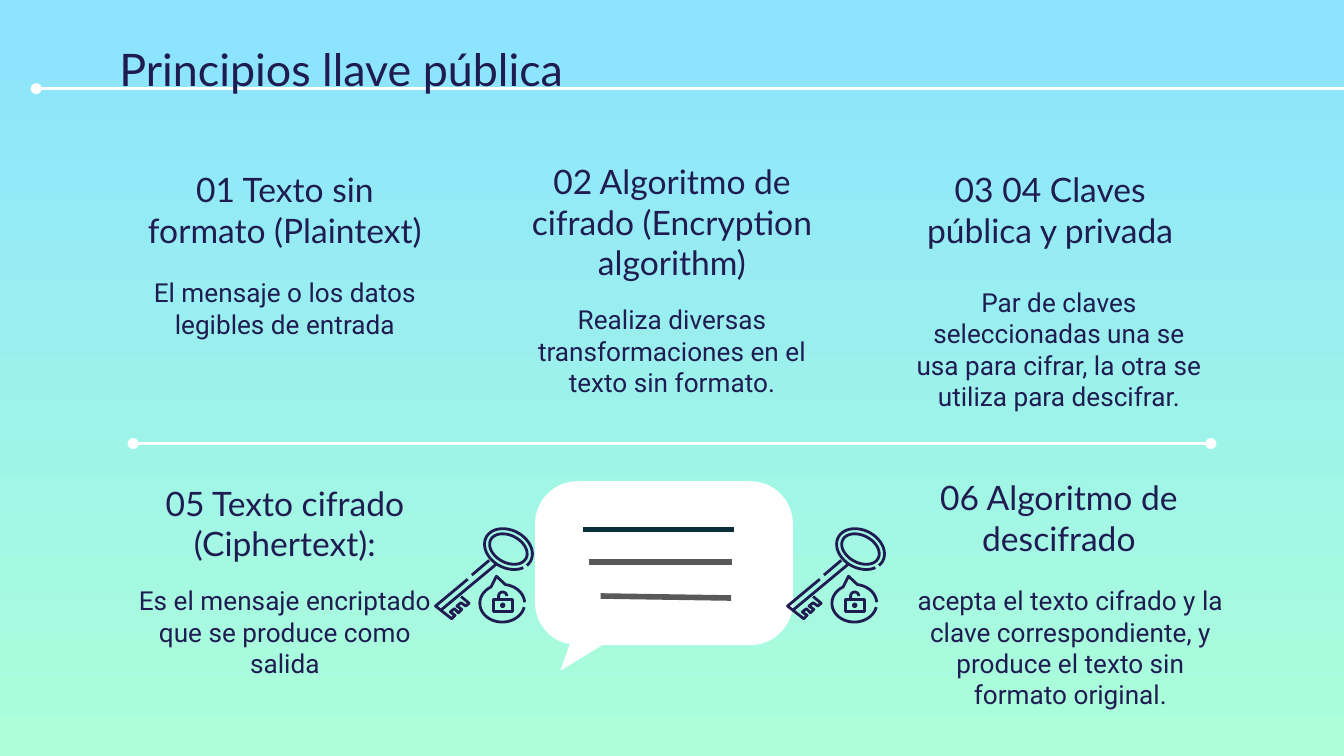
from math import cos, radians, sin

from lxml import etree
from pptx import Presentation
from pptx.dml.color import RGBColor
from pptx.enum import shapes, text
from pptx.oxml import ns
from pptx.util import Pt

SKY = RGBColor(0x8B, 0xE3, 0xFF)
MINT = RGBColor(0xAC, 0xFF, 0xD9)
NAVY = RGBColor(0x1F, 0x1C, 0x51)
WHITE = RGBColor(0xFF, 0xFF, 0xFF)
TEAL = RGBColor(0x0C, 0x2E, 0x3A)
GRAY = RGBColor(0x59, 0x59, 0x59)

TITLE = "Principios llave pública"
HEADING_H, BODY_H, COLUMN_W = 42.5, 62.6, 174.2
# heading, heading position, body, body position, body width
PRINCIPLES = [
    ("01 Texto sin formato (Plaintext)", (65.5, 98.6),
     "El mensaje o los datos legibles de entrada", (65.5, 141.1), COLUMN_W),
    ("02 Algoritmo de cifrado (Encryption algorithm)", (272.9, 115.9),
     "Realiza diversas transformaciones en el texto sin formato.", (272.9, 155.5), COLUMN_W),
    ("03 04 Claves pública y privada", (475.5, 98.6),
     "Par de claves seleccionadas una se usa para cifrar, la otra se utiliza para descifrar.",
     (480.2, 146.2), COLUMN_W),
    ("05 Texto cifrado (Ciphertext):", (65.5, 266.4),
     "Es el mensaje encriptado que se produce como salida", (65.5, 306), COLUMN_W),
    ("06 Algoritmo de descifrado", (480.2, 263.5),
     "acepta el texto cifrado y la clave correspondiente, y produce el texto sin formato original.",
     (480.2, 306), 186.5),
]
RULES = [
    ((19.4, 47.5), (720, 47.5), ("headEnd",)),
    ((71.3, 237.6), (648.7, 237.6), ("headEnd", "tailEnd")),
]
MESSAGE_LINES = [
    ((312.5, 283.7), (393.5, 283.7), TEAL),
    ((315.4, 301), (392.4, 301), GRAY),
    ((321.8, 319.3), (391.7, 320.4), GRAY),
]
BUBBLE = (286.6, 257.8, 424.8, 345.6)
BUBBLE_RADIUS = 22.8
BUBBLE_TAIL = [(322.6, 345.6), (300.2, 359.3), (305.3, 344.9)]
KEYS = [(232.6, 282.2), (421.2, 282.2)]


def arc(center, rx, ry, start, end, tilt=0):
    steps = max(6, int(abs(end - start) / 8))
    c, n = cos(radians(tilt)), sin(radians(tilt))
    points = []
    for i in range(steps + 1):
        a = radians(start + (end - start) * i / steps)
        x, y = rx * cos(a), ry * sin(a)
        points.append((center[0] + x * c - y * n, center[1] + x * n + y * c))
    return points


RING, BADGE = (39.8, 12), (36.5, 41)
KEY_STROKES = [
    (arc(RING, 13.5, 10.1, 30, 378, 28), False),
    (arc(RING, 10.7, 7.3, 0, 352, 28), True),
    ([(29.5, 18), (20.2, 25.9)], False),
    ([(33.1, 20.2), (3.6, 44.7)], False),
    ([(18, 28.1), (0.7, 42.5), (9.4, 49.3), (11.2, 47.5), (8.6, 45.7), (10.8, 43.9),
      (13, 46.1), (14.8, 44.3), (12.2, 42.5), (14.4, 40.7), (16.9, 42.5), (18.7, 41),
      (14.4, 37.4)], False),
    (arc(BADGE, 12, 10.1, 12, 240) + [(33.4, 26.5)] + arc(BADGE, 12, 10.1, 278, 357), False),
    ([(31.7, 38.9), (41.8, 38.9), (41.8, 45.4), (31.7, 45.4)], True),
    ([(34.5, 38.9)] + arc((36.7, 37.2), 2.2, 2.2, 180, 360), False),
]
KEYHOLE = arc((36.7, 42.1), 1.4, 1.4, 0, 345)


def add_text(s, content, at, size, font, points, align, anchor):
    box = s.shapes.add_textbox(*(Pt(v) for v in at + size))
    tf = box.text_frame
    tf.word_wrap = True
    tf.vertical_anchor = anchor
    tf.margin_left = tf.margin_right = tf.margin_top = tf.margin_bottom = Pt(7.2)
    p = tf.paragraphs[0]
    p.text = content
    p.alignment = align
    p.font.name, p.font.size = font, Pt(points)
    p.font.color.rgb = NAVY


def add_line(s, start, end, color, width, ovals=()):
    line = s.shapes.add_connector(
        shapes.MSO_CONNECTOR.STRAIGHT, *(Pt(v) for v in start + end))
    line.line.color.rgb = color
    line.line.width = Pt(width)
    for end_name in ovals:
        etree.SubElement(line.line._get_or_add_ln(), ns.qn("a:" + end_name), type="oval")
    etree.SubElement(line._element.spPr, ns.qn("a:effectLst"))


def add_outline(parent, points, closed, fill=None, stroke=None, origin=(0, 0)):
    emu = [(Pt(origin[0] + x), Pt(origin[1] + y)) for x, y in points]
    builder = parent.shapes.build_freeform(*emu[0])
    builder.add_line_segments(emu[1:], close=closed)
    sp = builder.convert_to_shape()
    sp.shadow.inherit = False
    if fill is None:
        sp.fill.background()
    else:
        sp.fill.solid()
        sp.fill.fore_color.rgb = fill
    if stroke is None:
        sp.line.fill.background()
    else:
        sp.line.color.rgb = stroke
        sp.line.width = Pt(1.5)


def add_bubble(s):
    left, top, right, bottom = BUBBLE
    r = BUBBLE_RADIUS
    corners = [(left + r, top + r), (right - r, top + r),
               (right - r, bottom - r), (left + r, bottom - r)]
    arcs = [arc(c, r, r, 180 + 90 * i, 270 + 90 * i) for i, c in enumerate(corners)]
    lower_left = [pt for pt in arcs[3] if pt[0] < BUBBLE_TAIL[-1][0]]
    add_outline(s, arcs[0] + arcs[1] + arcs[2] + BUBBLE_TAIL + lower_left, True, fill=WHITE)


def add_key(s, origin):
    key = s.shapes.add_group_shape()
    for points, closed in KEY_STROKES:
        add_outline(key, points, closed, stroke=NAVY, origin=origin)
    add_outline(key, KEYHOLE, True, fill=NAVY, origin=origin)


def main():
    prs = Presentation()
    prs.slide_width, prs.slide_height = Pt(720), Pt(405)
    s = prs.slides.add_slide(prs.slide_layouts[6])
    fill = s.background.fill
    fill.gradient()
    fill.gradient_angle = 270
    for stop, color, position in zip(fill.gradient_stops, (SKY, MINT), (0, 1)):
        stop.color.rgb = color
        stop.position = position

    start, end, ovals = RULES[0]
    add_line(s, start, end, WHITE, 1.5, ovals)
    add_text(s, TITLE, (56.9, 15.1), (478.8, 42.5), "Lato", 24,
             text.PP_ALIGN.LEFT, text.MSO_ANCHOR.TOP)
    for heading, heading_at, body, body_at, body_w in PRINCIPLES:
        add_text(s, body, body_at, (body_w, BODY_H), "Roboto", 14,
                 text.PP_ALIGN.CENTER, text.MSO_ANCHOR.TOP)
        add_text(s, heading, heading_at, (COLUMN_W, HEADING_H), "Lato", 18,
                 text.PP_ALIGN.CENTER, text.MSO_ANCHOR.BOTTOM)
    start, end, ovals = RULES[1]
    add_line(s, start, end, WHITE, 1.5, ovals)
    add_bubble(s)
    for start, end, color in MESSAGE_LINES:
        add_line(s, start, end, color, 3)
    for origin in KEYS:
        add_key(s, origin)
    prs.save("out.pptx")


if __name__ == "__main__":
    main()
